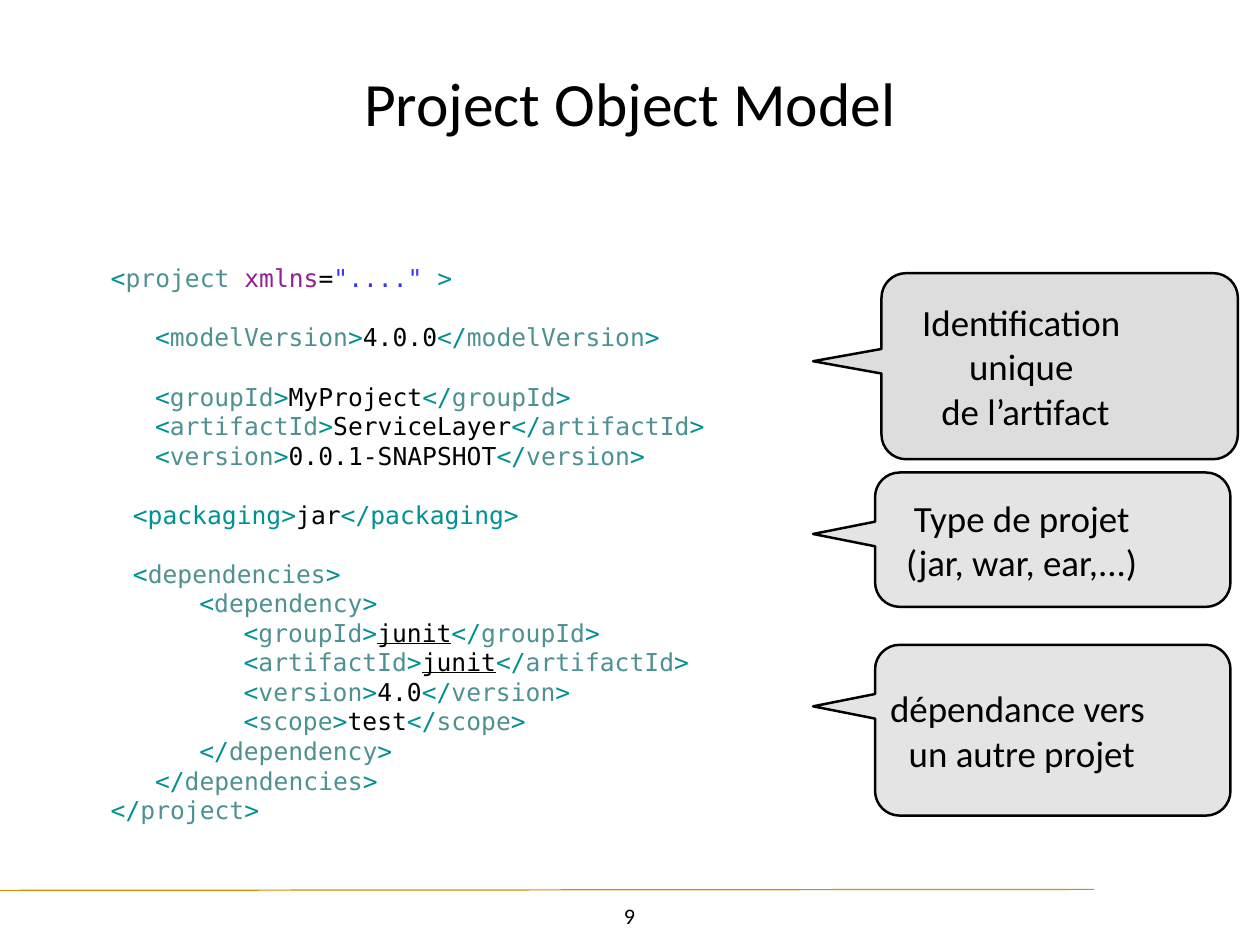
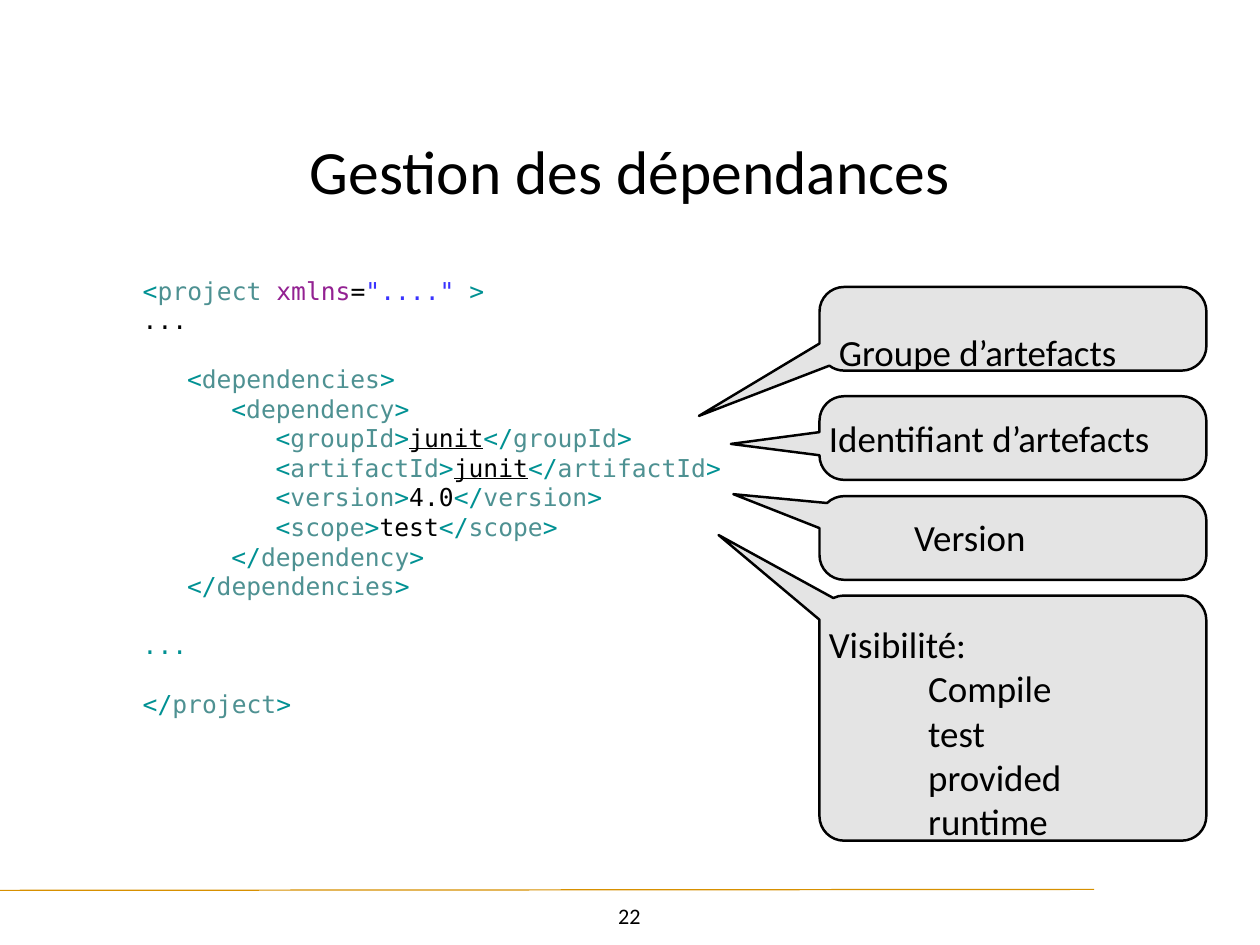
import math

import pptx
import pptx.dml.color
import pptx.enum.shapes
import pptx.enum.text
import pptx.oxml.ns
import pptx.util
from lxml import etree

RGB = pptx.dml.color.RGBColor
ALIGN = pptx.enum.text.PP_ALIGN
ANCHOR = pptx.enum.text.MSO_ANCHOR

# Page grid: 128 columns by 96 rows of square cells
COLUMNS, ROWS = 128, 96
CELL = pptx.util.Inches(1) / 9

BLACK = RGB(0x00, 0x00, 0x00)
GOLD = RGB(0xD7, 0x90, 0x00)
LIGHT_GRAY = RGB(0xE4, 0xE4, 0xE4)
MID_GRAY = RGB(0xDD, 0xDD, 0xDD)
BRACKET = RGB(0x00, 0x91, 0x93)
TAG = RGB(0x4E, 0x91, 0x92)
ATTRIBUTE = RGB(0x93, 0x21, 0x92)
STRING = RGB(0x39, 0x33, 0xFF)

SANS, MONO = "Calibri", "DejaVu Sans Mono"
CODE_LINE = pptx.util.Pt(24)
CODE_TAB = 4.5
CORNER = 2.5
INSET = 0.5


def cells(count):
    return pptx.util.Emu(round(count * CELL))


def style_run(run, size, color, font=SANS):
    run.font.name = font
    run.font.size = pptx.util.Pt(size)
    run.font.color.rgb = color


def indent(para, columns):
    properties = para._p.get_or_add_pPr()
    properties.set("marL", str(cells(columns)))
    properties.set("indent", "0")


def prepare_frame(frame, anchor, wrap=True):
    frame.word_wrap = wrap
    frame.vertical_anchor = anchor
    frame.margin_left = frame.margin_right = cells(INSET)
    frame.margin_top = frame.margin_bottom = cells(INSET)


def add_label(page, box, text, size, anchor, wrap=True):
    frame = page.shapes.add_textbox(*map(cells, box)).text_frame
    prepare_frame(frame, anchor, wrap)
    frame.text = text
    para = frame.paragraphs[0]
    para.alignment = ALIGN.CENTER
    style_run(para.runs[0], size, BLACK)


# Page with title, footer rule and page number
def add_page(deck, title, title_box, number):
    page = deck.slides.add_slide(deck.slide_layouts[6])
    rule = page.shapes.add_connector(
        pptx.enum.shapes.MSO_CONNECTOR.STRAIGHT,
        *map(cells, (0, 90.45, 111.15, 90.35)))
    rule.line.color.rgb = GOLD
    rule.line.width = pptx.util.Pt(1)
    etree.SubElement(rule._element.spPr, pptx.oxml.ns.qn("a:effectLst"))
    add_label(page, title_box, title, 50, ANCHOR.MIDDLE)
    add_label(page, (62.25, 91.15, 3.4, 3.6), str(number), 18, ANCHOR.TOP, False)
    return page


# XML code: a line is (tabs, blank lines above, spans)
def opening(name):
    return [("<", BRACKET), (name, TAG), (">", BRACKET)]


def closing(name):
    return [("</", BRACKET), (name, TAG), (">", BRACKET)]


def element(name, value):
    return opening(name) + [(value, BLACK)] + closing(name)


PROJECT_START = (0, 0, [("<", BRACKET), ("project ", TAG), ("xmlns", ATTRIBUTE),
                        ("=", BLACK), ('"...." ', STRING), (">", BRACKET)])


def dependency_lines(start_tab):
    fields = (("groupId", "junit"), ("artifactId", "junit"),
              ("version", "4.0"), ("scope", "test"))
    return [(start_tab, 1, opening("dependencies")),
            (2, 0, opening("dependency")),
            *((3, 0, element(*field)) for field in fields),
            (2, 0, closing("dependency")),
            (1, 0, closing("dependencies"))]


def add_code(page, box, lines):
    frame = page.shapes.add_textbox(*map(cells, box)).text_frame
    prepare_frame(frame, ANCHOR.MIDDLE)
    for index, (tabs, blanks, spans) in enumerate(lines):
        para = frame.add_paragraph() if index else frame.paragraphs[0]
        indent(para, tabs * CODE_TAB)
        para.line_spacing = CODE_LINE
        para.space_before = blanks * CODE_LINE
        for text, color in spans:
            span = para.add_run()
            span.text = text
            style_run(span, 20, color, MONO)
            if text == "junit":
                span.font.underline = True


# Rounded callout: tip and the two tail roots are relative to its body
def corner_curve(x, y, start, end):
    """Start, two control points and end of a clockwise corner."""
    first, last = math.radians(start), math.radians(end)
    reach = 4 / 3 * math.tan((last - first) / 4)

    def point(angle, along):
        return (x + CORNER * (math.cos(angle) - along * math.sin(angle)),
                y + CORNER * (math.sin(angle) + along * math.cos(angle)))

    return [point(first, 0), point(first, reach), point(last, -reach), point(last, 0)]


def root_angle(overlap):
    return math.degrees(math.asin(max(0, overlap) / CORNER))


def callout_segments(width, height, roots):
    """Each segment holds one point for a line, three for a curve."""
    upper, lower = roots
    far, low = width - CORNER, height - CORNER
    segments = [[(0, upper)]] if upper > CORNER else []
    for corner in ((CORNER, CORNER, 180 + root_angle(CORNER - upper), 270),
                   (far, CORNER, 270, 360),
                   (far, low, 0, 90),
                   (CORNER, low, 90, 180 - root_angle(lower - low))):
        start, *curve = corner_curve(*corner)
        segments += [[start], curve]
    if lower < low:
        segments.append([(0, lower)])
    return segments


def add_outline(page, body, tip, roots):
    left, top, width, height = body

    def place(point):
        return cells(left + point[0]), cells(top + point[1])

    segments = callout_segments(width, height, roots)
    builder = page.shapes.build_freeform(*place(tip), scale=1.0)
    builder.add_line_segments([place(segment[-1]) for segment in segments])
    shape = builder.convert_to_shape()
    qn = pptx.oxml.ns.qn
    lines = list(shape._element.iter(qn("a:lnTo")))
    for line, segment in zip(lines, segments):
        if len(segment) == 3:
            curve = etree.Element(qn("a:cubicBezTo"))
            for x, y in map(place, segment):
                etree.SubElement(curve, qn("a:pt"), x=str(x - shape.left),
                                 y=str(y - shape.top))
            line.getparent().replace(line, curve)
    outline = next(shape._element.iter(qn("a:moveTo"))).getparent()
    etree.SubElement(outline, qn("a:close"))
    return shape


def add_callout(page, body, tip, roots, lines, indents=None,
                fill=LIGHT_GRAY, text_top=None):
    shape = add_outline(page, body, tip, roots)
    shape.shadow.inherit = False
    shape.fill.solid()
    shape.fill.fore_color.rgb = fill
    shape.line.color.rgb = BLACK
    shape.line.width = pptx.util.Pt(2)
    frame = shape.text_frame
    prepare_frame(frame, ANCHOR.MIDDLE if text_top is None else ANCHOR.TOP)
    if text_top is not None:
        frame.margin_top = cells(text_top)
    frame.text = "\n".join(lines)
    for para, columns in zip(frame.paragraphs, indents or [0] * len(lines)):
        indent(para, columns)
        para.alignment = ALIGN.CENTER if text_top is None else ALIGN.LEFT
        style_run(para.runs[0], 30, BLACK)


def build_object_model(deck):
    page = add_page(deck, "Project Object Model", (12.5, 2.5, 103, 15.65), 9)
    packaging = [("<packaging>", BRACKET), ("jar", BLACK),
                 ("</packaging>", BRACKET)]
    add_code(page, (10.75, 22.8, COLUMNS - 10.75, 64.9), [
        PROJECT_START,
        (1, 1, element("modelVersion", "4.0.0")),
        (1, 1, element("groupId", "MyProject")),
        (1, 0, element("artifactId", "ServiceLayer")),
        (1, 0, element("version", "0.0.1-SNAPSHOT")),
        (0.5, 1, packaging),
        *dependency_lines(0.5),
        (0, 0, closing("project")),
    ])
    add_callout(page, (89.55, 27.75, 36.2, 18.9), (-6.95, 8.95), (7.7, 10.2),
                ["Identification ", "unique ", "de l’artifact"], fill=MID_GRAY)
    for top, height, lines in (
            (65.5, 17.35, ["dépendance vers ", "un autre projet"]),
            (48, 13.65, ["Type de projet", "(jar, war, ear,...)"])):
        add_callout(page, (88.9, top, 36.1, height), (-6.3, 6.25), (5, 7.5), lines)


def build_dependencies(deck):
    page = add_page(deck, "Gestion des dépendances", (5.5, 10.8, 117, 12.95), 22)
    add_code(page, (14, 24.8, COLUMNS - 14, 51.4), [
        PROJECT_START,
        (0, 0, [("...", BLACK)]),
        *dependency_lines(1),
        (0, 1, [("...", BRACKET)]),
        (0, 1, closing("project")),
    ])
    left, width = 83.25, 39.3
    for top, tip, roots, text, shift in (
            (29.15, (-12.25, 13.1), (5.75, 8), "Groupe d’artefacts", 5.1),
            (40.25, (-9, 4.85), (3.65, 6), "Identifiant d’artefacts", 4.2),
            (50.4, (-8.75, -0.2), (0.7, 3.25), "Version", 0)):
        add_callout(page, (left, top, width, 8.5), tip, roots, [text], [shift])
    scopes = ["Compile", "test", "provided", "runtime"]
    add_callout(page, (left, 60.5, width, 24.9), (-10.25, -6.15), (0.25, 2.45),
                ["Visibilité:"] + scopes, [10.7] + [20.8] * len(scopes),
                text_top=8.8)


def main():
    deck = pptx.Presentation()
    deck.slide_width, deck.slide_height = cells(COLUMNS), cells(ROWS)
    build_object_model(deck)
    build_dependencies(deck)
    deck.save("out.pptx")


if __name__ == "__main__":
    main()
